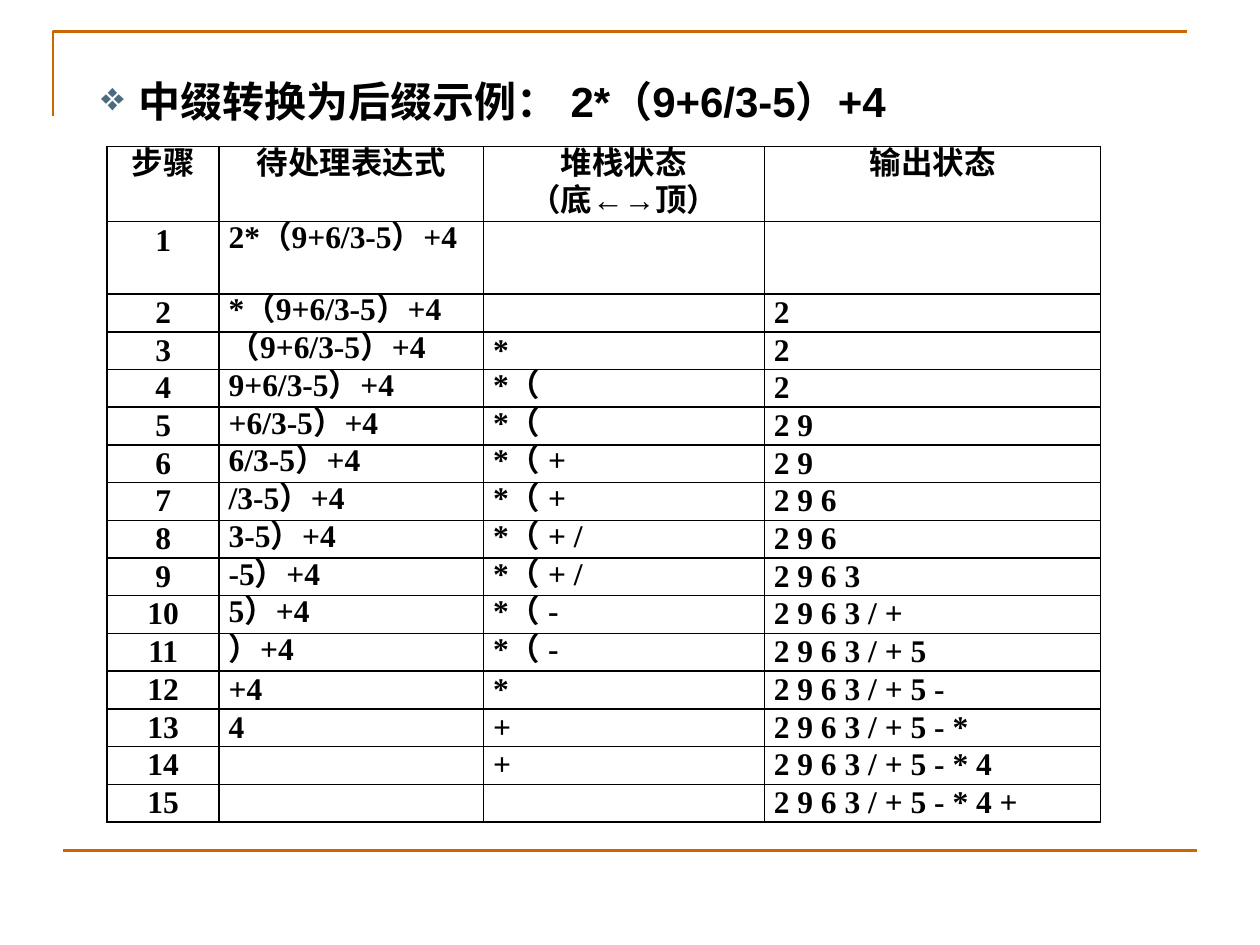
from itertools import groupby
from lxml import etree
from pptx import Presentation
from pptx.dml.color import RGBColor
from pptx.enum import shapes, text
from pptx.oxml.ns import qn
from pptx.util import Cm, Inches, Pt

COLORS = {"text": "000000", "rule": "CC6600", "bullet": "4B6C80"}
CJK, SANS, SERIF = "Noto Sans CJK SC", "Arial", "Times New Roman"
TITLE = "中缀转换为后缀示例： 2*（9+6/3-5）+4"
HEADER = ["步骤", "待处理表达式", "堆栈状态\n（底←→顶）", "输出状态"]
STEPS = [
    ("2*（9+6/3-5）+4", "", ""),
    ("*（9+6/3-5）+4", "", "2"),
    ("（9+6/3-5）+4", "*", "2"),
    ("9+6/3-5）+4", "*（", "2"),
    ("+6/3-5）+4", "*（", "2 9"),
    ("6/3-5）+4", "*（ +", "2 9"),
    ("/3-5）+4", "*（ +", "2 9 6"),
    ("3-5）+4", "*（ + /", "2 9 6"),
    ("-5）+4", "*（ + /", "2 9 6 3"),
    ("5）+4", "*（ -", "2 9 6 3 / +"),
    ("）+4", "*（ -", "2 9 6 3 / + 5"),
    ("+4", "*", "2 9 6 3 / + 5 -"),
    ("4", "+", "2 9 6 3 / + 5 - *"),
    ("", "+", "2 9 6 3 / + 5 - * 4"),
    ("", "", "2 9 6 3 / + 5 - * 4 +"),
]
COLUMN_WIDTHS = [2.26, 5.33, 5.66, 6.78]
HEADER_HEIGHT, ROW_HEIGHT = 1.52, 0.76


def rgb(name):
    return RGBColor.from_string(COLORS[name])


def add_element(parent, tag, **attributes):
    return etree.SubElement(parent, qn(tag), attributes)


def write(paragraph, content, latin, size):
    def font_for(character):
        if character in "←→":
            return SANS
        return latin if character.isascii() else CJK

    paragraph.font.size = Pt(size)
    paragraph.font.bold = True
    paragraph.font.color.rgb = rgb("text")
    for name, characters in groupby(content, font_for):
        run = paragraph.add_run()
        run.text = "".join(characters)
        run.font.name = name
        add_element(run.font._element, "a:ea", typeface=name)


def add_title(slide):
    title = slide.shapes.title
    title.left, title.top, title.width, title.height = Cm(2.01), Cm(1.47), Cm(17.86), Cm(1.09)
    frame = title.text_frame
    frame.margin_left = frame.margin_right = frame.margin_bottom = 0
    frame.margin_top = Cm(0.06)
    frame.vertical_anchor = text.MSO_ANCHOR.TOP
    frame.auto_size = text.MSO_AUTO_SIZE.SHAPE_TO_FIT_TEXT
    frame.word_wrap = True
    paragraph = frame.paragraphs[0]
    paragraph.alignment = text.PP_ALIGN.LEFT
    properties = paragraph._p.get_or_add_pPr()
    properties.set("marL", str(Cm(0.79)))
    properties.set("indent", str(Cm(-0.76)))
    color = add_element(properties, "a:buClr")
    add_element(color, "a:srgbClr", val=COLORS["bullet"])
    add_element(properties, "a:buSzPct", val="96000")
    add_element(properties, "a:buChar", char="❖")
    tabs = add_element(properties, "a:tabLst")
    add_element(tabs, "a:tab", pos=str(Cm(0.79)), algn="l")
    write(paragraph, TITLE, SANS, 24)


def add_rules(slide):
    builder = slide.shapes.build_freeform(Cm(1.07), Cm(2.34))
    builder.add_line_segments([(Cm(1.07), Cm(0.64)), (Cm(23.93), Cm(0.64))], close=False)
    corner = builder.convert_to_shape()
    corner.fill.background()
    corner.shadow.inherit = False
    bottom = slide.shapes.add_connector(
        shapes.MSO_CONNECTOR.STRAIGHT, Cm(1.27), Cm(17.15), Cm(24.13), Cm(17.15))
    add_element(bottom._element.spPr, "a:effectLst")
    for rule in (corner, bottom):
        rule.line.color.rgb = rgb("rule")
        rule.line.width = Pt(1.5)


def format_cell(cell):
    cell.margin_left = cell.margin_right = cell.margin_top = cell.margin_bottom = 0
    properties = cell._tc.get_or_add_tcPr()
    for side in "LRTB":
        border = add_element(properties, f"a:ln{side}", w=str(Pt(1)))
        fill = add_element(border, "a:solidFill")
        add_element(fill, "a:srgbClr", val=COLORS["text"])
    cell.fill.background()


def add_steps(slide):
    rows = [HEADER] + [(str(number), *step) for number, step in enumerate(STEPS, 1)]
    heights = [HEADER_HEIGHT] + [ROW_HEIGHT] * len(STEPS)
    table = slide.shapes.add_table(
        len(rows), len(HEADER), Cm(2.16), Cm(2.95),
        Cm(sum(COLUMN_WIDTHS)), Cm(sum(heights))).table
    table.first_row = table.horz_banding = False
    for column, width in zip(table.columns, COLUMN_WIDTHS):
        column.width = Cm(width)
    for row_index, values in enumerate(rows):
        table.rows[row_index].height = Cm(heights[row_index])
        for column_index, value in enumerate(values):
            cell = table.cell(row_index, column_index)
            format_cell(cell)
            centred = row_index == 0 or column_index == 0
            for line_index, line in enumerate(value.split("\n")):
                frame = cell.text_frame
                paragraph = frame.add_paragraph() if line_index else frame.paragraphs[0]
                paragraph.line_spacing = Pt(21.2 if row_index == 0 else 20.6)
                if centred:
                    paragraph.alignment = text.PP_ALIGN.CENTER
                else:
                    paragraph._p.get_or_add_pPr().set("marL", str(Cm(0.19)))
                write(paragraph, line, SERIF, 18)


def main():
    presentation = Presentation()
    presentation.slide_width, presentation.slide_height = Inches(10), Inches(7.5)
    slide = presentation.slides.add_slide(presentation.slide_layouts[5])
    add_rules(slide)
    add_title(slide)
    add_steps(slide)
    presentation.save("out.pptx")


if __name__ == "__main__":
    main()
